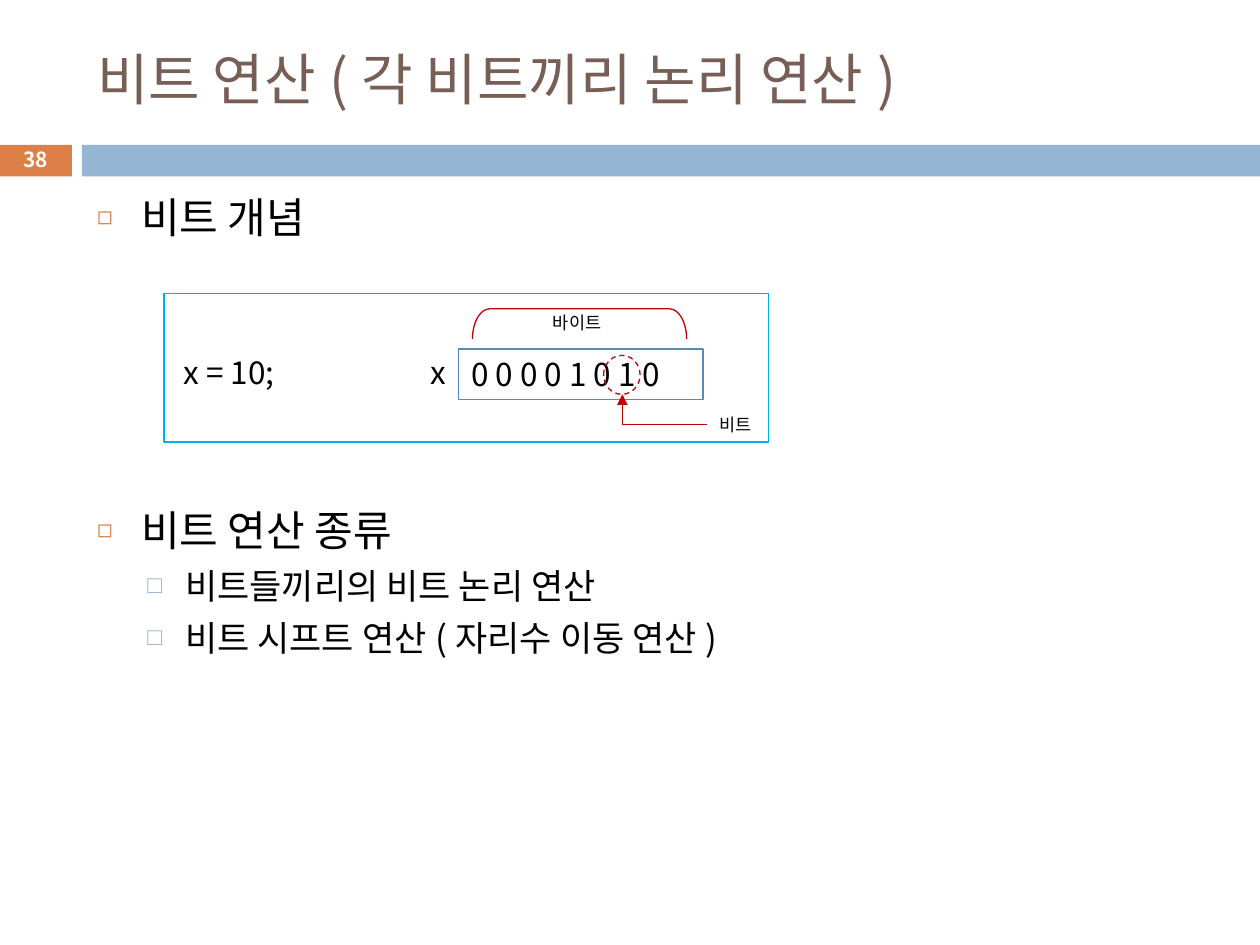
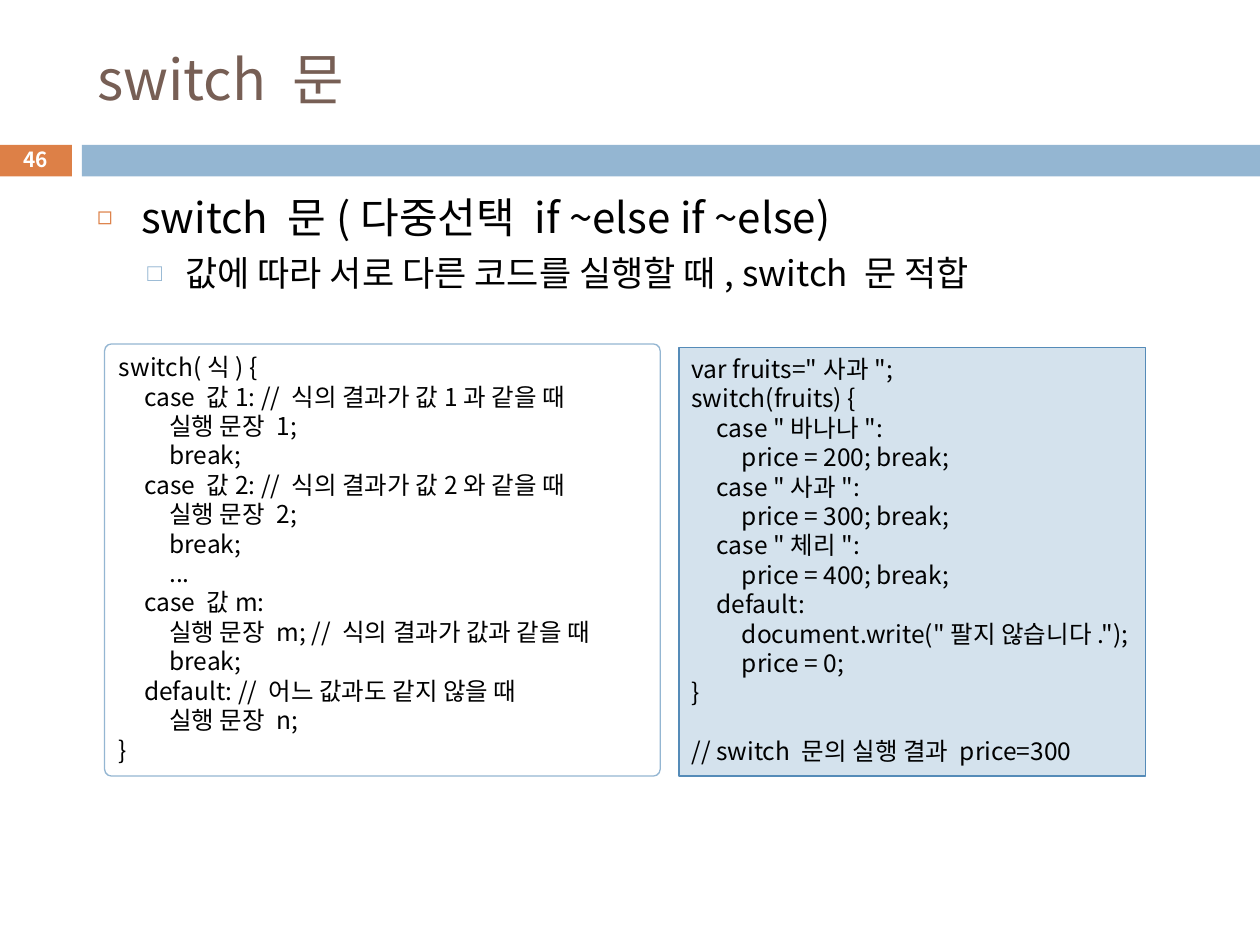
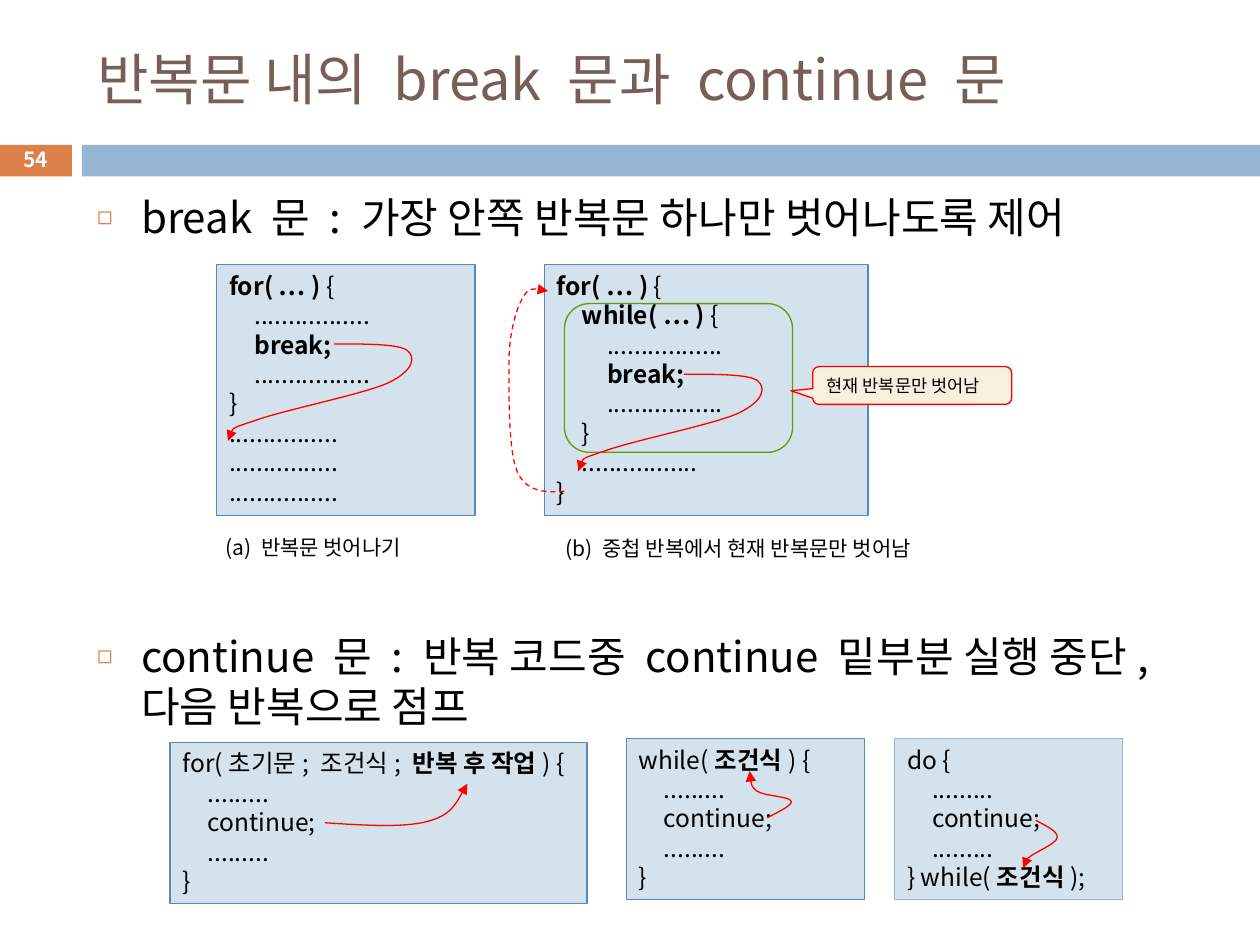
import pptx
import pptx.util
import pptx.dml.color
import pptx.enum.dml
import pptx.enum.shapes
import pptx.enum.text
import pptx.oxml
import pptx.oxml.ns
from lxml import etree

Inches, Pt = pptx.util.Inches, pptx.util.Pt
RGBColor = pptx.dml.color.RGBColor
SHAPE = pptx.enum.shapes.MSO_SHAPE
ALIGN = pptx.enum.text.PP_ALIGN
ANCHOR = pptx.enum.text.MSO_ANCHOR
AUTO_SIZE = pptx.enum.text.MSO_AUTO_SIZE
DASH = pptx.enum.dml.MSO_LINE.DASH
qn = pptx.oxml.ns.qn

FONT = "Noto Sans CJK KR"
BLACK = RGBColor(0x00, 0x00, 0x00)
WHITE = RGBColor(0xFF, 0xFF, 0xFF)
BROWN = RGBColor(0x77, 0x5F, 0x55)
ORANGE = RGBColor(0xDD, 0x80, 0x47)
BLUE = RGBColor(0x94, 0xB6, 0xD2)
DEEP_BLUE = RGBColor(0x55, 0x8B, 0xB8)
PALE_BLUE = RGBColor(0xD4, 0xE2, 0xED)
SKY = RGBColor(0x00, 0xB0, 0xF0)
DARK_RED = RGBColor(0xC0, 0x00, 0x00)
RED = RGBColor(0xFF, 0x00, 0x00)
GREEN = RGBColor(0x66, 0x99, 0x00)
CREAM = RGBColor(0xF7, 0xF0, 0xDE)

CODE_INDENT = 0.2
# size, marker, marker colour, marker percent, left indent, hanging indent
BULLETS = [
    (24, "◻", ORANGE, 60, 0.35, 0.35),
    (20, "□", BLUE, 70, 0.7, 0.3),
]


def write(frame, lines, size, color=BLACK, anchor=ANCHOR.TOP, align=ALIGN.LEFT, fit=False):
    """Write (depth, text, space before) lines; text between asterisks is bold."""
    frame.word_wrap = not fit
    frame.auto_size = AUTO_SIZE.SHAPE_TO_FIT_TEXT if fit else AUTO_SIZE.NONE
    frame.vertical_anchor = anchor
    for index, (depth, text, gap) in enumerate(lines):
        paragraph = frame.add_paragraph() if index else frame.paragraphs[0]
        paragraph.alignment = align
        paragraph.space_before = Pt(gap)
        if depth:
            paragraph._p.get_or_add_pPr().set("marL", str(Inches(depth * CODE_INDENT)))
        for part, words in enumerate(text.split("*")):
            if not words:
                continue
            run = paragraph.add_run()
            run.text = words
            run.font.size = Pt(size)
            run.font.bold = part % 2 == 1
            run.font.color.rgb = color
            run.font.name = FONT
            etree.SubElement(run.font._element, qn("a:ea"), typeface=FONT)


def add_box(slide, kind, at, fill=None, line=None, width=0.75):
    box = slide.shapes.add_shape(kind, *map(Inches, at))
    box.shadow.inherit = False
    if fill is None:
        box.fill.background()
    else:
        box.fill.solid()
        box.fill.fore_color.rgb = fill
    if line is None:
        box.line.fill.background()
    else:
        box.line.color.rgb = line
        box.line.width = Pt(width)
    return box


prs = pptx.Presentation()
prs.slide_width, prs.slide_height = Inches(10), Inches(7.5)
layout = prs.slide_layouts[1]
for placeholder, at in zip(layout.placeholders, [(0.67, 0.25, 8.92, 0.74), (0.67, 1.47, 8.92, 5.51)]):
    placeholder.left, placeholder.top, placeholder.width, placeholder.height = map(Inches, at)

# Number, title and (level, text, space before) of each slide
topics = [
    (38, "비트 연산(각 비트끼리 논리 연산)", [
        (0, "비트 개념", 7),
        (0, "비트 연산 종류", 150),
        (1, "비트들끼리의 비트 논리 연산", 5.5),
        (1, "비트 시프트 연산(자리수 이동 연산)", 5.5)]),
    (46, "switch 문", [
        (0, "switch 문(다중선택 if ~else if ~else)", 7),
        (1, "값에 따라 서로 다른 코드를 실행할 때, switch 문 적합", 5.5)]),
    (54, "반복문 내의 break 문과 continue 문", [
        (0, "break 문 : 가장 안쪽 반복문 하나만 벗어나도록 제어", 7),
        (0, "continue 문 : 반복 코드중 continue 밑부분 실행 중단, 다음 반복으로 점프", 222)]),
]
for number, title, points in topics:
    slide = prs.slides.add_slide(layout)
    write(slide.shapes.title.text_frame, [(0, title, 0)], 32, BROWN, ANCHOR.MIDDLE)
    body = slide.placeholders[1].text_frame
    write(body, [(0, text, gap) for level, text, gap in points], BULLETS[0][0])
    for paragraph, (level, text, gap) in zip(body.paragraphs, points):
        size, marker, color, percent, indent, hanging = BULLETS[level]
        paragraph.level = level
        paragraph.runs[0].font.size = Pt(size)
        pPr = paragraph._p.get_or_add_pPr()
        pPr.set("marL", str(Inches(indent)))
        pPr.set("indent", str(-Inches(hanging)))
        marker_color = etree.SubElement(pPr, qn("a:buClr"))
        etree.SubElement(marker_color, qn("a:srgbClr"), val=str(color))
        etree.SubElement(pPr, qn("a:buSzPct"), val=str(percent * 1000))
        etree.SubElement(pPr, qn("a:buChar"), char=marker)
    page = slide.shapes.add_textbox(*map(Inches, (-0.01, 1.13, 0.58, 0.27)))
    write(page.text_frame, [(0, f"*{number}*", 0)], 11.9, WHITE, ANCHOR.MIDDLE, ALIGN.CENTER)

bits_slide, switch_slide, loop_slide = prs.slides

# The bands belong to the layout, behind its placeholders
for at, color in [((0.65, 1.15, 9.35, 0.25), BLUE), ((-0.01, 1.15, 0.58, 0.25), ORANGE)]:
    band = add_box(bits_slide, SHAPE.RECTANGLE, at, color)
    layout.shapes._spTree.insert(2, band.element)

# Bits inside a byte
add_box(bits_slide, SHAPE.RECTANGLE, (1.3, 2.33, 4.8, 1.18), WHITE, SKY, 1)
byte = add_box(bits_slide, SHAPE.RECTANGLE, (3.64, 2.77, 1.94, 0.4), None, DEEP_BLUE)
write(byte.text_frame, [(0, "0 0 0 0 1 0 1 0", 0)], 18, fit=True)
byte_bracket = add_box(bits_slide, SHAPE.RIGHT_BRACKET, (4.48, 1.72, 0.24, 1.7), None, DARK_RED)
byte_bracket.adjustments[0] = 0.58
byte_bracket.rotation = 270
bit_ring = add_box(bits_slide, SHAPE.OVAL, (4.79, 2.82, 0.29, 0.31), None, DARK_RED)
bit_ring.line.dash_style = DASH

bit_arrow = bits_slide.shapes.add_connector(
    pptx.enum.shapes.MSO_CONNECTOR.ELBOW, *map(Inches, (4.94, 3.13, 5.61, 3.37)))
bit_arrow.line.color.rgb = DARK_RED
bit_arrow.line.width = Pt(0.75)
arrow_properties = bit_arrow.element.spPr
arrow_properties.find(qn("a:prstGeom")).set("prst", "bentConnector2")
arrow_properties.find(qn("a:xfrm")).set("rot", "10800000")
etree.SubElement(arrow_properties, qn("a:effectLst"))
etree.SubElement(bit_arrow.line._get_or_add_ln(), qn("a:tailEnd"), type="triangle")

# Code listings
code_boxes = [
    (switch_slide, SHAPE.ROUNDED_RECTANGLE, (0.83, 2.73, 4.41, 3.43), None, BLUE, [
        (0, "switch(식) {", 0),
        (1, "case 값1: // 식의 결과가 값1과 같을 때", 0),
        (2, "실행 문장 1;", 0),
        (2, "break;", 0),
        (1, "case 값2: // 식의 결과가 값2와 같을 때", 0),
        (2, "실행 문장 2;", 0),
        (2, "break;", 0),
        (2, "...", 0),
        (1, "case 값m:", 0),
        (2, "실행 문장 m; // 식의 결과가 값과 같을 때", 0),
        (2, "break;", 0),
        (1, "default: // 어느 값과도 같지 않을 때", 0),
        (2, "실행 문장 n;", 0),
        (0, "}", 0)]),
    (switch_slide, SHAPE.RECTANGLE, (5.39, 2.76, 3.7, 3.4), PALE_BLUE, DEEP_BLUE, [
        (0, 'var fruits="사과";', 0),
        (0, "switch(fruits) {", 0),
        (1, 'case "바나나":', 0),
        (2, "price = 200; break;", 0),
        (1, 'case "사과":', 0),
        (2, "price = 300; break;", 0),
        (1, 'case "체리":', 0),
        (2, "price = 400; break;", 0),
        (1, "default:", 0),
        (2, 'document.write("팔지 않습니다.");', 0),
        (2, "price = 0;", 0),
        (0, "}", 0),
        (0, "// switch 문의 실행 결과 price=300", 16.8)]),
    (loop_slide, SHAPE.RECTANGLE, (1.72, 2.1, 2.05, 1.99), PALE_BLUE, DEEP_BLUE, [
        (0, "*for( … ) *{", 0),
        (1, ".................", 0),
        (1, "*break;*", 0),
        (1, ".................", 0),
        (0, "}", 0)] + [(0, "................", 0)] * 3),
    (loop_slide, SHAPE.RECTANGLE, (4.32, 2.1, 2.57, 1.99), PALE_BLUE, DEEP_BLUE, [
        (0, "*for( … ) *{", 0),
        (1, "*while( … ) *{", 0),
        (2, ".................", 0),
        (2, "*break;*", 0),
        (2, ".................", 0),
        (1, "}", 0),
        (1, ".................", 0),
        (0, "}", 0)]),
]
continue_body = [(1, ".........", 0), (1, "continue;", 0), (1, ".........", 0)]
for at, line, opening, closing in [
    ((1.35, 5.89, 3.31, 1.28), DEEP_BLUE, "for(초기문; 조건식; *반복 후 작업*) {", "}"),
    ((4.97, 5.86, 1.89, 1.28), DEEP_BLUE, "while(*조건식*) {", "}"),
    ((7.1, 5.86, 1.81, 1.28), BLUE, "do {", "} while(*조건식*);"),
]:
    code = [(0, opening, 0)] + continue_body + [(0, closing, 0)]
    code_boxes.append((loop_slide, SHAPE.RECTANGLE, at, PALE_BLUE, line, code))

for slide, kind, at, fill, line, code in code_boxes:
    listing = add_box(slide, kind, at, fill, line)
    if kind == SHAPE.ROUNDED_RECTANGLE:
        listing.adjustments[0] = 0.016
    write(listing.text_frame, code, 14)

# Inner loop that break leaves
add_box(loop_slide, SHAPE.ROUNDED_RECTANGLE, (4.48, 2.41, 1.81, 1.18), None, GREEN)
remark = add_box(loop_slide, SHAPE.ROUNDED_RECTANGULAR_CALLOUT, (6.45, 2.91, 1.58, 0.3), CREAM, RED)
for index, value in enumerate([-0.61, 0.14, 0.167]):
    remark.adjustments[index] = value
write(remark.text_frame, [(0, "현재 반복문만 벗어남", 0)], 10, fit=True)

# Labels
for slide, at, text, size, fit in [
    (bits_slide, (1.36, 2.75, 1.1, 0.4), "x = 10;", 18, True),
    (bits_slide, (3.32, 2.75, 0.32, 0.4), "x", 18, True),
    (bits_slide, (5.61, 3.24, 0.48, 0.27), "비트", 10, True),
    (bits_slide, (4.29, 2.43, 0.62, 0.27), "바이트", 10, True),
    (loop_slide, (1.69, 4.19, 1.69, 0.3), "(a) 반복문 벗어나기", 12, True),
    (loop_slide, (4.39, 4.2, 3.51, 0.3), "(b) 중첩 반복에서 현재 반복문만 벗어남", 12, False),
]:
    label = slide.shapes.add_textbox(*map(Inches, at))
    write(label.text_frame, [(0, text, 0)], size, fit=fit)

# Jump arrows: a start point, then two controls and an end for each cubic curve
break_jump = [(2.65, 2.73), (2.9, 2.73), (3.16, 2.73), (3.23, 2.78),
              (3.3, 2.83), (3.29, 2.94), (3.08, 3.04), (2.88, 3.13), (2.23, 3.26),
              (2.02, 3.34), (1.8, 3.41), (1.81, 3.46), (1.81, 3.5)]
jumps = [
    (break_jump, False),
    ([(x + 2.78, y + 0.24) for x, y in break_jump], False),
    ([(4.48, 3.9), (4.33, 3.91), (4.17, 3.91), (4.1, 3.73), (4.03, 3.55), (4.04, 3.06),
      (4.04, 2.83), (4.05, 2.61), (4.1, 2.45), (4.15, 2.36), (4.2, 2.28), (4.28, 2.29),
      (4.35, 2.31)], True),
    ([(2.58, 6.53), (2.89, 6.55), (3.2, 6.57), (3.39, 6.52), (3.58, 6.47), (3.64, 6.34),
      (3.71, 6.22)], False),
    ([(8.22, 6.51), (8.31, 6.56), (8.4, 6.6), (8.39, 6.65), (8.38, 6.7), (8.2, 6.77),
      (8.16, 6.81), (8.11, 6.85), (8.12, 6.87), (8.12, 6.89)], False),
    ([(6.09, 6.49), (6.19, 6.44), (6.29, 6.39), (6.28, 6.36), (6.27, 6.32), (6.07, 6.32),
      (6.01, 6.28), (5.96, 6.24), (5.95, 6.18), (5.95, 6.12)], False),
]
for knots, dashed in jumps:
    start, *rest = [tuple(map(Inches, knot)) for knot in knots]
    outline = loop_slide.shapes.build_freeform(*start)
    outline.add_line_segments(rest, close=False)
    jump = outline.convert_to_shape()
    # Every three line segments become one cubic curve
    segments = list(jump.element.iter(qn("a:lnTo")))
    track = segments[0].getparent()
    for first in range(0, len(segments), 3):
        curve = etree.SubElement(track, qn("a:cubicBezTo"))
        for segment in segments[first:first + 3]:
            curve.append(segment[0])
            track.remove(segment)
    jump.shadow.inherit = False
    jump.fill.background()
    jump.line.color.rgb = RED
    jump.line.width = Pt(0.75)
    if dashed:
        jump.line.dash_style = DASH
    etree.SubElement(jump.line._get_or_add_ln(), qn("a:tailEnd"), type="triangle")

prs.save("out.pptx")
